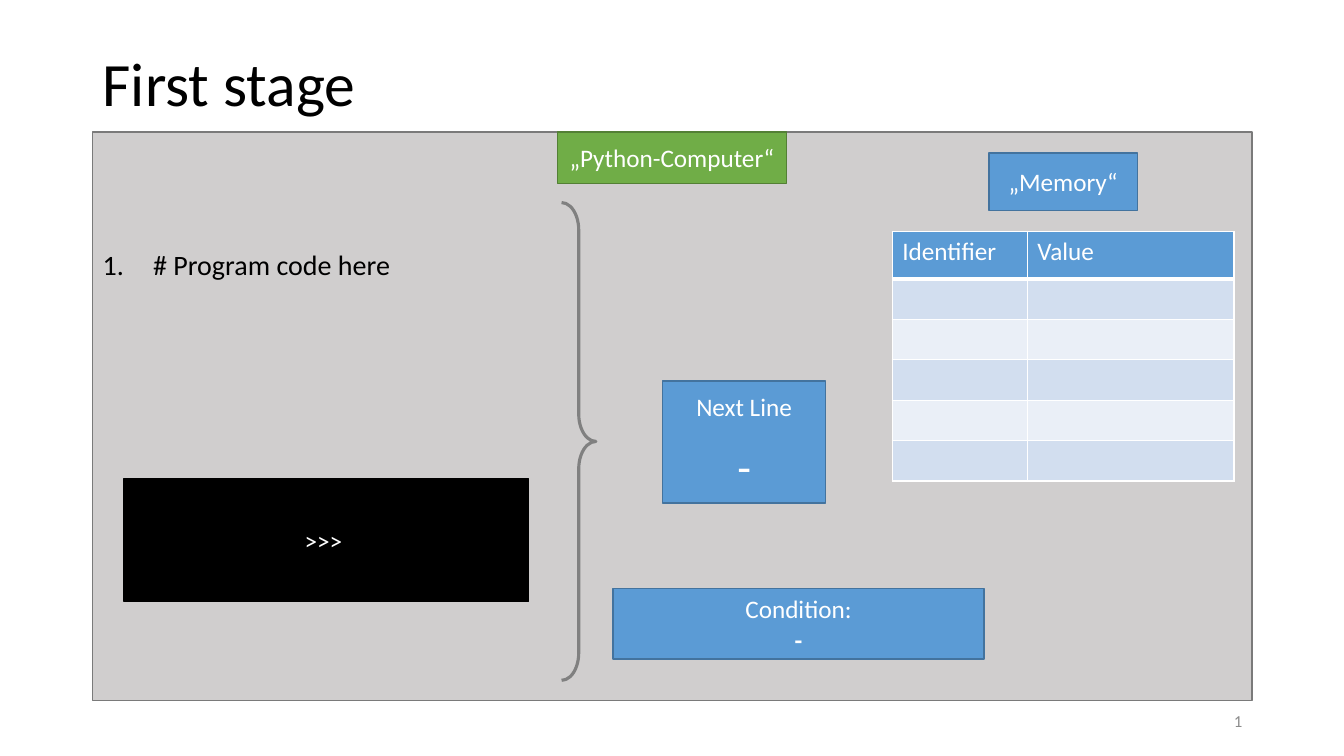
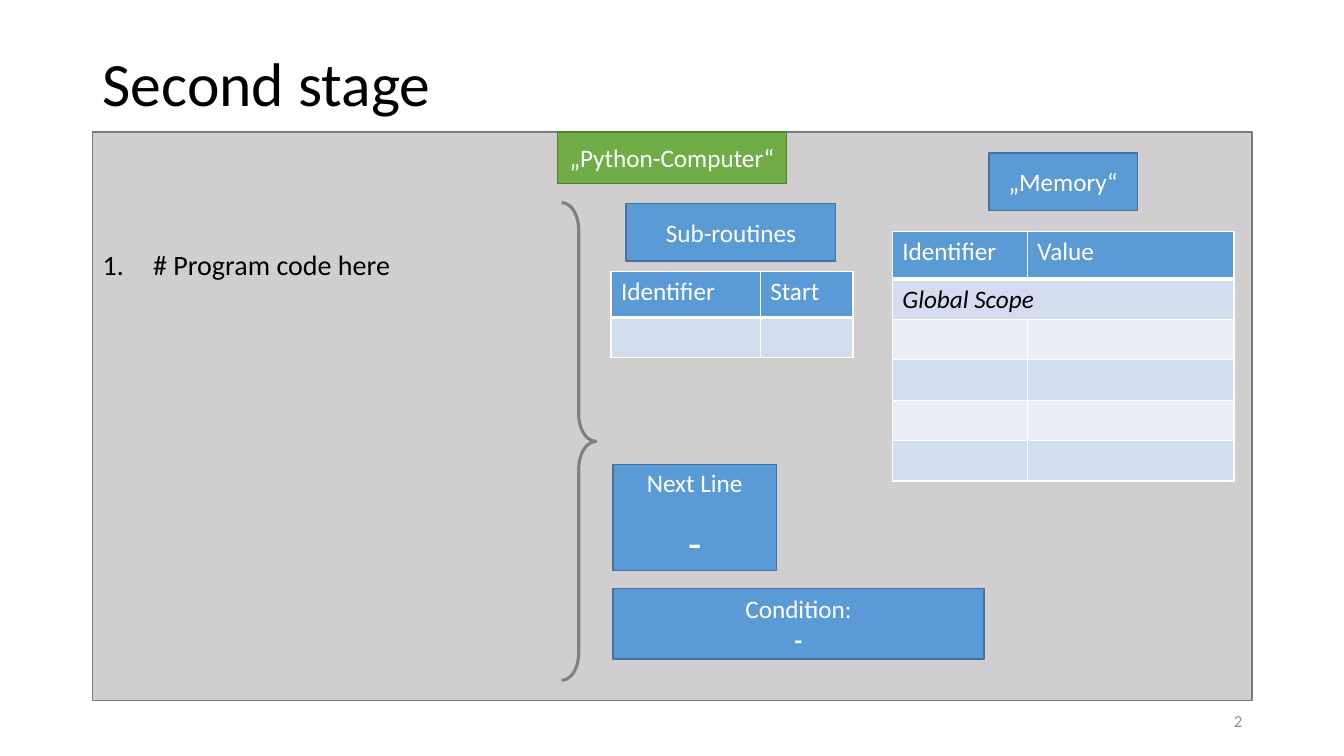
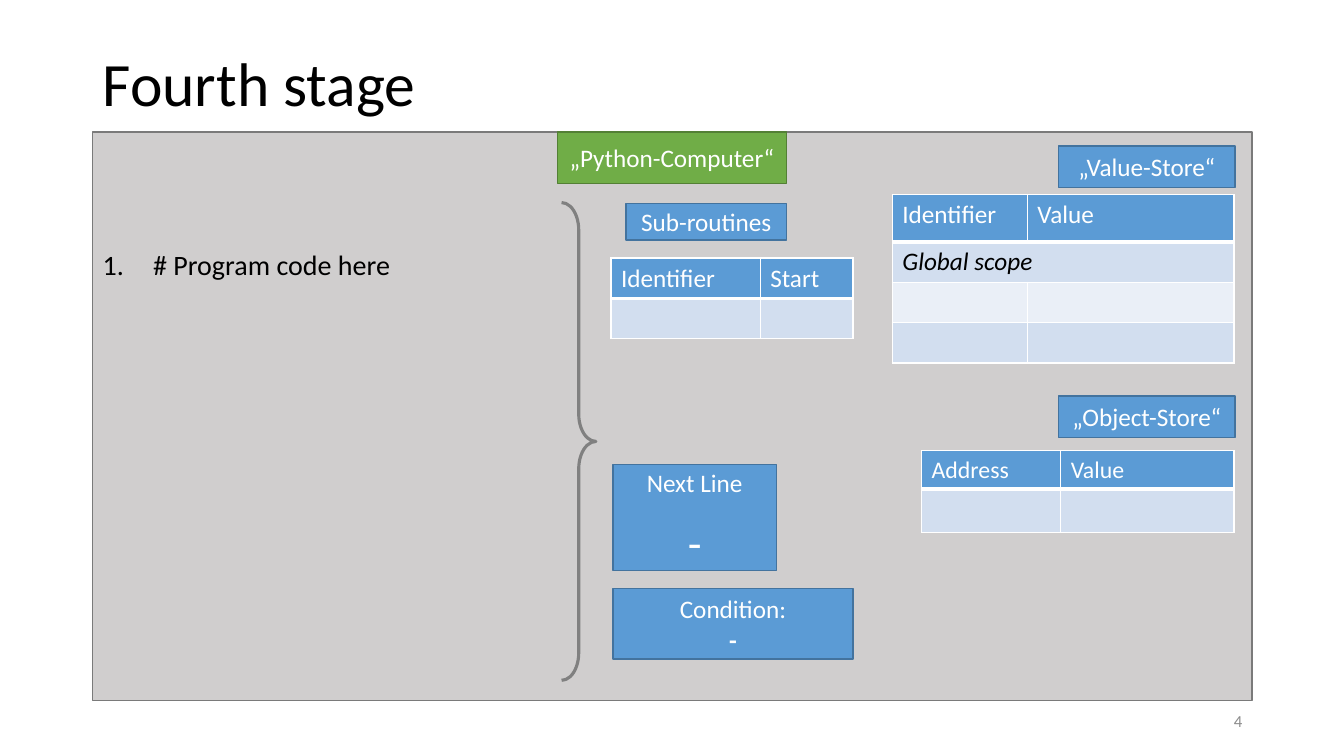
from lxml.etree import SubElement
from pptx import Presentation
from pptx.dml.color import RGBColor
from pptx.enum.shapes import MSO_SHAPE
from pptx.enum.text import MSO_ANCHOR, PP_ALIGN
from pptx.oxml.ns import qn
from pptx.util import Inches, Pt

BLUE, EDGE = "5B9BD5", "43739E"
GREEN, MOSS = "70AD47", "538035"
GRAY, RIM, BRACE = "D0CECE", "7A7A7A", "808080"
WHITE, BLACK, MUTED = "FFFFFF", "000000", "8C8C8C"
BANDS = ("D2DEEF", "EAEFF7")
ROW = 0.4


def paint(fill, hue):
    fill.solid()
    fill.fore_color.rgb = RGBColor.from_string(hue)


def dress(item, values):
    for name, value in values.items():
        setattr(item, name, value)


def border(cell, base):
    props = cell._tc.get_or_add_tcPr()
    for side, width in (("L", 1), ("R", 1), ("T", 1), ("B", base)):
        line = SubElement(props, qn(f"a:ln{side}"), w=str(Pt(width)))
        solid = SubElement(line, qn("a:solidFill"))
        SubElement(solid, qn("a:srgbClr"), val=WHITE)


class Deck:
    font = {"name": "Calibri", "size": Pt(18)}
    center = {"alignment": PP_ALIGN.CENTER}
    middle = {"vertical_anchor": MSO_ANCHOR.MIDDLE, "word_wrap": True}

    def __init__(self):
        self.show = Presentation()
        dress(self.show, {"slide_width": Inches(13.33), "slide_height": Inches(7.5)})

    def letter(self, frame, lines, hue, para={}, font={}):
        for spot, (text, look, space) in enumerate(lines):
            part = frame.add_paragraph() if spot else frame.paragraphs[0]
            dress(part, {**para, **space})
            run = part.add_run()
            run.text = text
            dress(run.font, {**self.font, **font, **look})
            paint(run.font.fill, hue)

    def text(self, at, words, size, hue=BLACK, para={}, frame={}):
        box = self.slide.shapes.add_textbox(*map(Inches, at)).text_frame
        dress(box, {**self.middle, **frame})
        self.letter(box, [(words, {}, {})], hue, para, {"size": Pt(size)})
        return box

    def box(self, at, lines=(), fill=BLUE, edge=EDGE):
        shape = self.slide.shapes.add_shape(MSO_SHAPE.RECTANGLE, *map(Inches, at))
        shape.shadow.inherit = False
        paint(shape.fill, fill)
        paint(shape.line.fill, edge)
        shape.line.width = Pt(1)
        dress(shape.text_frame, self.middle)
        self.letter(shape.text_frame, lines, WHITE, self.center)

    def label(self, at, words, **look):
        self.box(at, [(words, {}, {})], **look)

    def brace(self, at):
        shape = self.slide.shapes.add_shape(MSO_SHAPE.RIGHT_BRACE, *map(Inches, at))
        shape.shadow.inherit = False
        shape.adjustments[0] = 0.8
        shape.fill.background()
        paint(shape.line.fill, BRACE)
        shape.line.width = Pt(2.25)

    def table(self, left, top, wides, highs, heads, scope=None, size=18):
        place = map(Inches, (left, top, sum(wides), sum(highs)))
        grid = self.slide.shapes.add_table(len(highs), len(wides), *place).table
        for column, wide in zip(grid.columns, wides):
            column.width = Inches(wide)
        for index, high in enumerate(highs):
            grid.rows[index].height = Inches(high)
            for cell in grid.rows[index].cells:
                border(cell, 1 if index else 3)
                paint(cell.fill, BANDS[(index - 1) % 2] if index else BLUE)
        for cell, head in zip(grid.rows[0].cells, heads):
            self.letter(cell.text_frame, [(head, {}, {})], WHITE, font={"size": Pt(size)})
        if scope:
            cell = grid.cell(1, 0)
            cell.merge(grid.cell(1, 1))
            self.letter(cell.text_frame, [(scope, {"italic": True}, {})], BLACK)

    def memory(self, top, count, scope=None):
        highs = [0.47] + [ROW] * count
        self.table(8.85, top, (1.34, 2.05), highs, ("Identifier", "Value"), scope)

    def routines(self, top, head, wide, high):
        self.label((6.21, 2.02, wide, high), "Sub-routines")
        self.table(6.06, top, (1.48, 0.92), (head, ROW), ("Identifier", "Start"))

    def code(self):
        para = {"line_spacing": 0.9}
        frame = {"vertical_anchor": MSO_ANCHOR.TOP, "margin_top": Inches(0.49)}
        box = self.text((0.92, 2, 11.5, 4.76), "# Program code here", 20, para=para, frame=frame)
        props = box.paragraphs[0]._p.get_or_add_pPr()
        props.set("marL", str(Inches(0.5)))
        props.set("indent", str(-Inches(0.5)))
        SubElement(props, qn("a:buFont"), typeface="+mj-lt")
        SubElement(props, qn("a:buAutoNum"), type="arabicPeriod")

    def stage(self, title, number, step, wide):
        self.slide = self.show.slides.add_slide(self.show.slide_layouts[6])
        self.box((0.92, 1.31, 11.5, 5.64), fill=GRAY, edge=RIM)
        self.text((0.92, 0.4, 11.5, 0.91), title, 44, para={"line_spacing": 0.9})
        self.code()
        right = {"alignment": PP_ALIGN.RIGHT}
        self.text((9.42, 6.95, 3, 0.4), number, 12, MUTED, right)
        self.label((5.53, 1.31, 2.27, 0.51), "„Python-Computer“", fill=GREEN, edge=MOSS)
        self.brace((5.57, 2.01, 0.34, 4.74))
        dash = ("-", {"size": Pt(32)}, {"space_before": Pt(12)})
        self.box(step, [("Next Line", {}, {}), dash])
        lines = [("Condition:", {}, {}), ("-", {"bold": True}, {})]
        self.box((6.08, 5.84, wide, 0.7), lines)


MEMORY = (9.81, 1.52, 1.47, 0.57)
STEP = (6.08, 4.61, 1.62, 1.05)

deck = Deck()

deck.stage("First stage", "1", (6.57, 3.78, 1.62, 1.21), 3.68)
deck.memory(2.3, 5)
deck.label(MEMORY, "„Memory“")
deck.label((1.23, 4.75, 4.01, 1.22), ">>> ", fill=BLACK, edge=BLACK)

deck.stage("Second stage", "2", STEP, 3.68)
deck.memory(2.3, 5, "Global Scope")
deck.label(MEMORY, "„Memory“")
deck.routines(2.69, 0.46, 2.08, 0.57)

deck.stage("Fourth stage", "4", STEP, 2.38)
deck.memory(1.93, 3, "Global scope")
deck.routines(2.56, ROW, 1.59, 0.36)
deck.table(9.14, 4.47, (1.38, 1.72), (0.38, 0.43), ("Address", "Value"), size=17)
for top, name in ((1.45, "„Value-Store“"), (3.93, "„Object-Store“")):
    deck.label((10.5, top, 1.75, 0.41), name)

deck.show.save("out.pptx")
